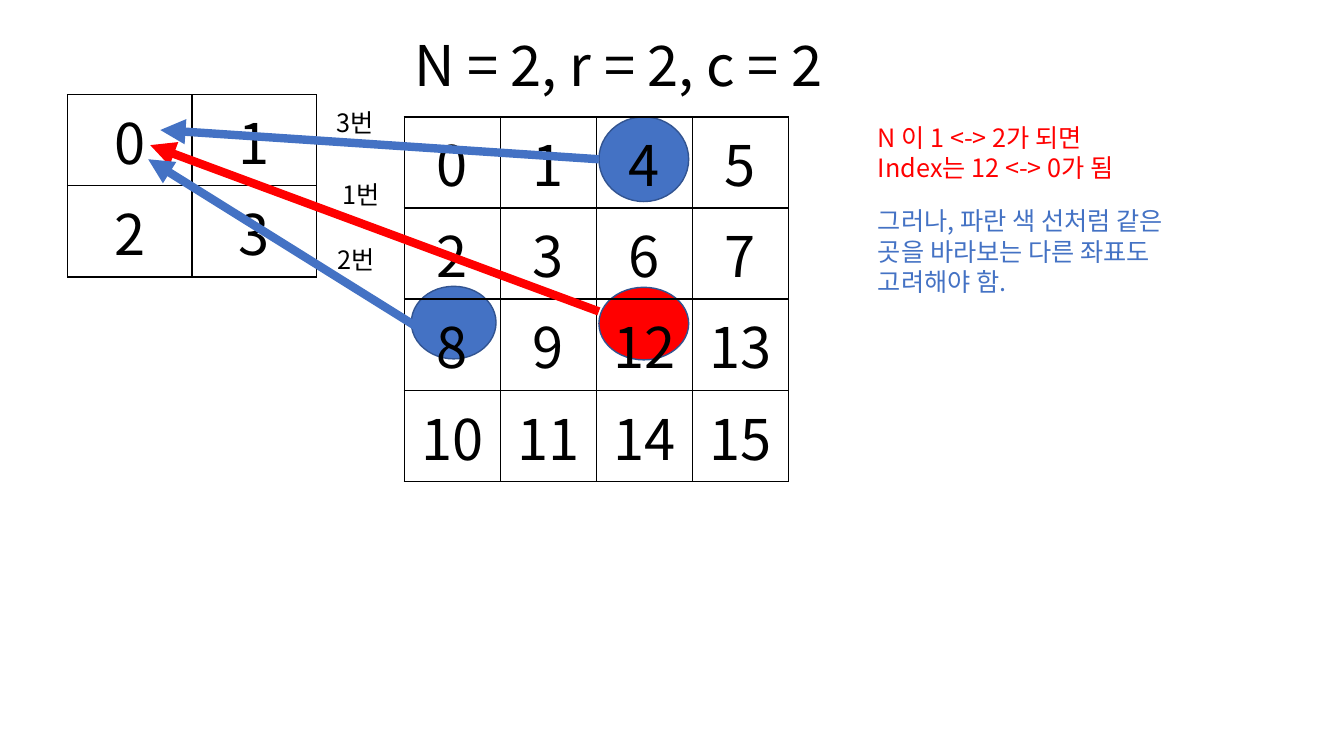
from lxml import etree
from pptx import Presentation
from pptx.dml.color import RGBColor
from pptx.enum.shapes import MSO_CONNECTOR, MSO_SHAPE
from pptx.enum.text import MSO_AUTO_SIZE, PP_ALIGN
from pptx.oxml.ns import qn
from pptx.util import Inches, Pt

STRAIGHT = MSO_CONNECTOR.STRAIGHT
CIRCLE = MSO_SHAPE.FLOWCHART_CONNECTOR
GROW = MSO_AUTO_SIZE.SHAPE_TO_FIT_TEXT
CENTER = PP_ALIGN.CENTER

FONT = "Noto Sans CJK KR"
BLACK, RED, BLUE, OUTLINE = "000000", "FF0000", "4472C4", "325491"


def rgb(color):
    return RGBColor.from_string(color)


class Slide:
    """Holds the text style and the current slide."""

    def __init__(self, prs, font):
        self.shapes = prs.slides.add_slide(prs.slide_layouts[6]).shapes
        self.font = font

    def style(self, p, size, color):
        p.font.name = self.font
        p.font.size = Pt(size)
        p.font.color.rgb = rgb(color)
        # East Asian typeface for the Korean text
        latin = p.font._element.find(qn("a:latin"))
        ea = etree.Element(qn("a:ea"), typeface=self.font)
        latin.addnext(ea)

    def text(self, x, y, w, h, lines, size=18, color=BLACK):
        tf = self.shapes.add_textbox(Inches(x), Inches(y), Inches(w), Inches(h)).text_frame
        tf.word_wrap = True
        tf.auto_size = GROW
        tf.text = "\n".join(lines)
        for p in tf.paragraphs:
            self.style(p, size, color)

    def circle(self, x, y, w, h, color):
        sp = self.shapes.add_shape(CIRCLE, Inches(x), Inches(y), Inches(w), Inches(h))
        sp.shadow.inherit = False
        sp.fill.solid()
        sp.fill.fore_color.rgb = rgb(color)
        sp.line.color.rgb = rgb(OUTLINE)
        sp.line.width = Pt(1)

    def arrow(self, start, end, color):
        cx = self.shapes.add_connector(STRAIGHT, *map(Inches, start + end))
        cx.line.color.rgb = rgb(color)
        cx.line.width = Pt(6)
        etree.SubElement(cx.line._get_or_add_ln(), qn("a:tailEnd"), type="triangle")
        etree.SubElement(cx._element.spPr, qn("a:effectLst"))

    def border(self, cell):
        tcPr = cell._tc.get_or_add_tcPr()
        for i, side in enumerate(("lnL", "lnR", "lnT", "lnB")):
            ln = etree.Element(qn(f"a:{side}"), w=str(Pt(1)))
            fill = etree.SubElement(ln, qn("a:solidFill"))
            etree.SubElement(fill, qn("a:srgbClr"), val=BLACK)
            tcPr.insert(i, ln)

    def grid(self, x, y, col_w, row_h, rows):
        n_rows, n_cols = len(rows), len(rows[0])
        table = self.shapes.add_table(n_rows, n_cols, Inches(x), Inches(y),
                                      Inches(col_w * n_cols), Inches(row_h * n_rows)).table
        table.first_row = table.horz_banding = False
        for r, row in enumerate(rows):
            for c, value in enumerate(row):
                cell = table.cell(r, c)
                cell.fill.background()
                self.border(cell)
                cell.text = str(value)
                p = cell.text_frame.paragraphs[0]
                p.alignment = CENTER
                self.style(p, 40, BLACK)


def z_order(n):
    """Square of side 2**n numbered in Z order."""
    if n == 0:
        return [[0]]
    inner = z_order(n - 1)
    area = 4 ** (n - 1)
    return [[v + (half + k) * area for k in (0, 1) for v in row]
            for half in (0, 2) for row in inner]


def main():
    prs = Presentation()
    prs.slide_width, prs.slide_height = Inches(13.33), Inches(7.5)
    s = Slide(prs, FONT)

    # Highlighted cells, behind the grids
    s.circle(4.08, 2.84, 0.84, 0.72, BLUE)
    s.circle(5.94, 1.16, 0.89, 0.84, BLUE)
    s.circle(5.94, 2.85, 0.89, 0.72, RED)

    # Z-order grids
    s.grid(0.67, 0.94, 1.235, 0.9, z_order(1))
    s.grid(4.01, 1.16, 0.9525, 0.9, z_order(2))

    # Title and explanation
    s.text(4.01, 0.25, 5.27, 0.77, ["N = 2, r = 2, c = 2"], size=40)
    s.text(8.61, 1.16, 3.36, 0.71,
           ["N 이 1 <-> 2가 되면", "Index는 12 <-> 0가 됨"], color=RED)
    s.text(8.61, 1.99, 3.36, 1.01,
           ["그러나, 파란 색 선처럼 같은 곳을 바라보는 다른 좌표도 고려해야 함."], color=BLUE)

    # Arrows to cell 0
    s.arrow((5.94, 3.09), (1.49, 1.44), RED)
    s.arrow((4.13, 3.24), (1.47, 1.58), BLUE)
    s.arrow((5.94, 1.58), (1.59, 1.29), BLUE)

    # Arrow labels
    for x, y, label in ((3.24, 1.02, "3번"), (3.3, 1.73, "1번"), (3.25, 2.37, "2번")):
        s.text(x, y, 0.71, 0.4, [label])

    prs.save("out.pptx")


if __name__ == "__main__":
    main()
